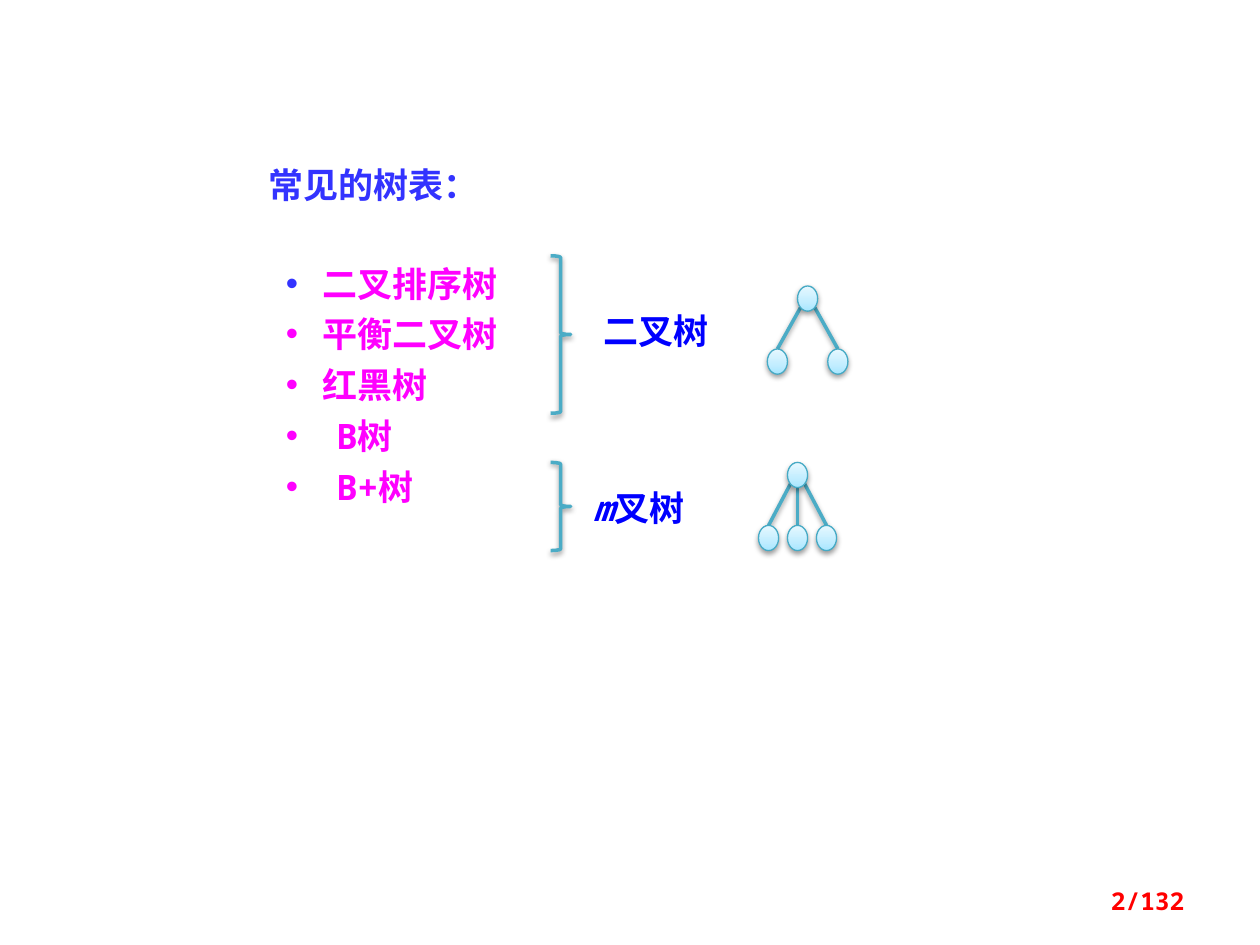
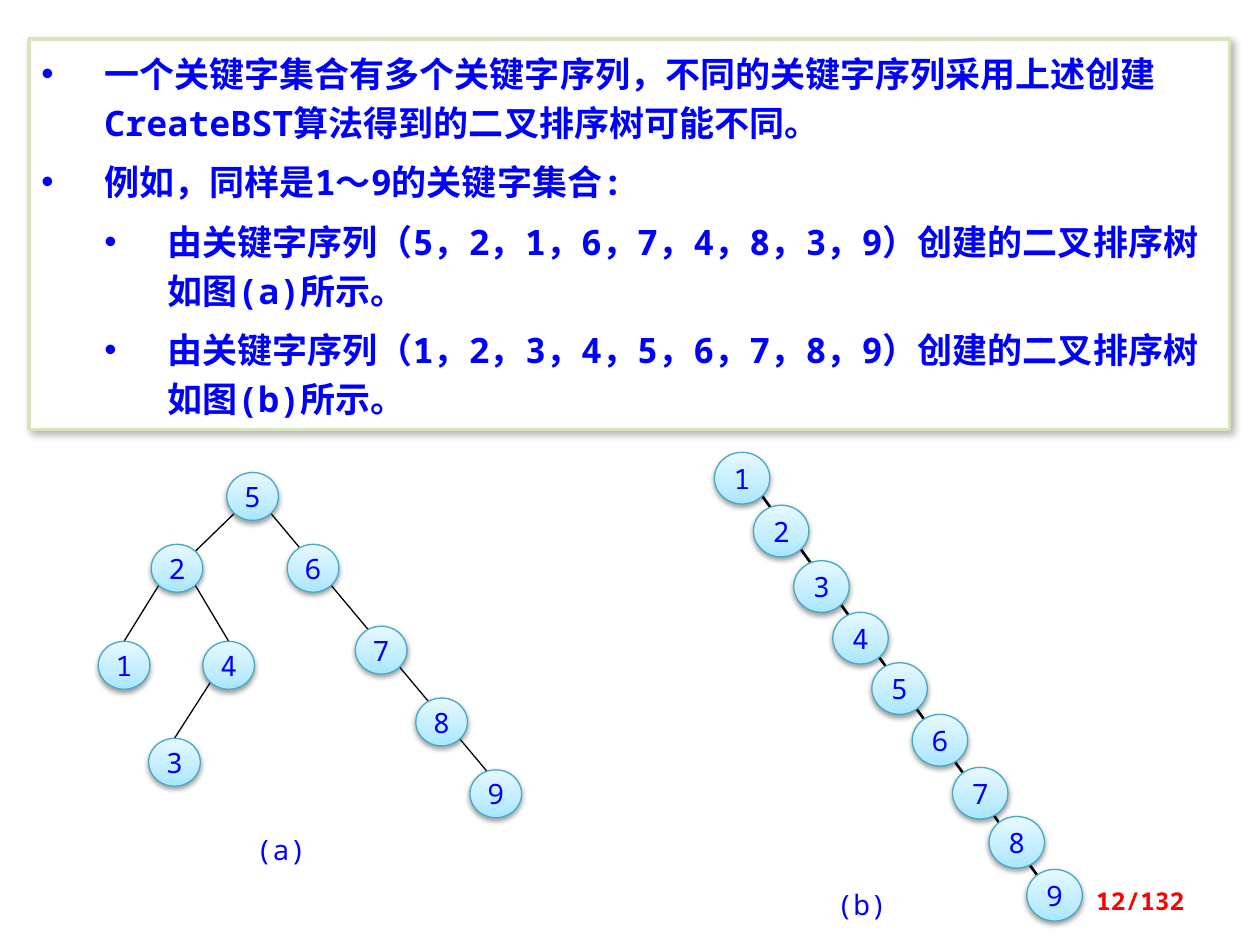
from collections import namedtuple
from lxml.etree import SubElement
from pptx import Presentation
from pptx.dml.color import RGBColor
from pptx.enum.shapes import MSO_CONNECTOR as Wire, MSO_SHAPE as Kind
from pptx.enum.text import MSO_ANCHOR as Anchor, PP_ALIGN as Align
from pptx.oxml import parse_xml
from pptx.oxml.ns import nsdecls, qn
from pptx.util import Pt

SCALE = 9144
FONT = "Noto Sans Mono"
WHITE = RGBColor(0xFF, 0xFF, 0xFF)
BLACK = RGBColor(0, 0, 0)
BLUE = RGBColor(0, 0, 0xFF)
INDIGO = RGBColor(0x33, 0x33, 0xFF)
PINK = RGBColor(0xFF, 0, 0xFF)
RED = RGBColor(0xFF, 0, 0)
TEAL = RGBColor(0x4B, 0xAC, 0xC6)
RIM = RGBColor(0x46, 0xAA, 0xC5)
GREEN = RGBColor(0xD7, 0xE4, 0xBD)
GLOW = [(0, RGBColor(0xA7, 0xE6, 0xFF)), (35, RGBColor(0xC1, 0xED, 0xFF)),
        (100, RGBColor(0xE7, 0xF8, 0xFF))]
SOFT = (38, 3.1, 1.6, 90)
DEEP = (30, 4.5, 2.6, 53)

Node = namedtuple("Node", "x y w h")


def px(*sizes):
    return [round(size * SCALE) for size in sizes]


def shade(shape, look=None):
    props = shape.element.spPr
    for old in props.findall(qn("a:effectLst")):
        props.remove(old)
    effect = SubElement(props, qn("a:effectLst"))
    if look:
        alpha, blur, dist, turn = look
        outer = SubElement(effect, qn("a:outerShdw"), blurRad=str(Pt(blur)),
                           dist=str(Pt(dist)), dir=str(turn * 60000), rotWithShape="0")
        color = SubElement(outer, qn("a:srgbClr"), val=str(BLACK))
        SubElement(color, qn("a:alpha"), val=str(alpha * 1000))


def write(shape, rows, size=20, color=BLUE, bold=True, align=Align.LEFT,
          anchor=Anchor.TOP, inset=(10, 5, 10, 5), lead=None, gap=0,
          dents=None, dot=None, lean=""):
    frame = shape.text_frame
    frame.word_wrap = True
    frame.vertical_anchor = anchor
    (frame.margin_left, frame.margin_top,
     frame.margin_right, frame.margin_bottom) = px(*inset)
    rows = [rows] if isinstance(rows, str) else rows
    for i, row in enumerate(rows):
        para = frame.paragraphs[0] if i == 0 else frame.add_paragraph()
        para.alignment = align
        para.line_spacing = lead
        para.space_before = Pt(gap if i else 0)
        if dents:
            left, hang = px(*dents[i])
            props = para._p.get_or_add_pPr()
            props.set("marL", str(left))
            props.set("indent", str(-hang))
            if dot and i == 0:
                tint = SubElement(props, qn("a:buClr"))
                SubElement(tint, qn("a:srgbClr"), val=str(dot))
            SubElement(props, qn("a:buFont"), typeface="Arial")
            SubElement(props, qn("a:buChar"), char="•")
        for part in filter(None, (lean, row)):
            run = para.add_run()
            run.text = part
            font = run.font
            font.name, font.size, font.bold = FONT, Pt(size), bold
            font.italic = part == lean
            font.color.rgb = color
            SubElement(run._r.get_or_add_rPr(), qn("a:ea"), typeface=FONT)


def label(shapes, box, text, **fmt):
    write(shapes.add_textbox(*px(*box)), text, **fmt)


def block(shapes, kind, box, fill=None, line=None, width=2, look=None):
    shape = shapes.add_shape(kind, *px(*box))
    if fill:
        shape.fill.solid()
        shape.fill.fore_color.rgb = fill
    else:
        shape.fill.background()
    if line:
        shape.line.color.rgb = line
        shape.line.width = Pt(width)
    else:
        shape.line.fill.background()
    shade(shape, look)
    return shape


def wire(shapes, start, end, color=BLACK, width=0.75, look=None):
    link = shapes.add_connector(Wire.STRAIGHT, *px(*start, *end))
    link.line.color.rgb = color
    link.line.width = Pt(width)
    shade(link, look)


def rim(node, across, down):
    reach = 0.35 if across else 0.5
    return (node.x + node.w * (0.5 + reach * across),
            node.y + node.h * (0.5 + reach * down))


def edge(shapes, top, kid, corner=False, **fmt):
    side = (kid.x > top.x) - (kid.x < top.x)
    wire(shapes, rim(top, side, 1), rim(kid, -side if corner else 0, -1), **fmt)


def ball(shapes, node, text=""):
    shape = block(shapes, Kind.OVAL, node, WHITE, RIM, 0.75, SOFT)
    stops = "".join(f'<a:gs pos="{at * 1000}"><a:srgbClr val="{tone}"/></a:gs>'
                    for at, tone in GLOW)
    grad = parse_xml(f'<a:gradFill {nsdecls("a")} rotWithShape="1"><a:gsLst>{stops}'
                     '</a:gsLst><a:lin ang="16200000" scaled="0"/></a:gradFill>')
    props = shape.element.spPr
    props.replace(props.find(qn("a:solidFill")), grad)
    if text:
        write(shape, text, size=16, bold=False, align=Align.CENTER,
              anchor=Anchor.MIDDLE, inset=(0, 0, 0, 0))


def caption(shapes, box, text):
    label(shapes, box, text, size=16, bold=False, align=Align.CENTER, inset=(0, 0, 0, 0))


def footer(slide, page):
    label(slide.shapes, (717, 695, 233, 40), f"{page}/132", size=14, color=RED,
          align=Align.RIGHT, anchor=Anchor.MIDDLE)


def family(shapes, x, y, height, name, root, spread, lean=""):
    shapes = shapes.add_group_shape().shapes
    block(shapes, Kind.RIGHT_BRACE, (x, y, 16, height), line=TEAL, look=SOFT)
    label(shapes, (x + name[0], y + name[1], 117, 44), name[2], lean=lean)
    top = Node(x + root[0], y + root[1], 16, 20)
    kids = [Node(top.x + step, top.y + 50, 16, 20) for step in spread]
    for kid in kids:
        edge(shapes, top, kid, color=TEAL, width=2, look=SOFT)
    for node in [top, *kids]:
        ball(shapes, node)


def kinds(slide):
    shapes = slide.shapes
    label(shapes, (203, 125, 307, 44), "常见的树表：", color=INDIGO)
    panel = block(shapes, Kind.RECTANGLE, (211, 196, 211, 259), WHITE)
    write(panel, ["二叉排序树", "平衡二叉树", "红黑树", "B树", "B+树"], color=PINK,
          inset=(16, 12, 10, 12), gap=5, dot=INDIGO,
          dents=[(29, 29)] * 3 + [(40, 40)] * 2)
    family(shapes, 437, 203, 125, (32, 38, "二叉树"), (196, 24), (-24, 24))
    family(shapes, 437, 367, 70, (24, 14, "叉树"), (188, 0), (-23, 0, 23), lean="m")
    footer(slide, 2)


def branch(shapes, x, y):
    shapes = shapes.add_group_shape().shapes
    spots = {"5": (102, 0), "2": (42, 57), "6": (150, 57), "1": (0, 134), "4": (83, 134),
             "3": (40, 211), "7": (204, 122), "8": (252, 179), "9": (295, 236)}
    nodes = {key: Node(x + dx, y + dy, 41, 38) for key, (dx, dy) in spots.items()}
    wire(shapes, rim(nodes["5"], 1, 1), (x + 310, y + 239))
    for top, kid in ("52", "21", "24", "43"):
        edge(shapes, nodes[top], nodes[kid], corner=top == "5")
    for key, node in nodes.items():
        ball(shapes, node, key)
    caption(shapes, (x + 113, y + 286, 64, 29), "(a)")


def chain(shapes, x, y):
    shapes = shapes.add_group_shape().shapes
    wire(shapes, (x + 28, y + 21), (x + 268, y + 352), width=1.5)
    across = (0, 31, 63, 94, 125, 157, 189, 218, 248)
    down = (0, 42, 86, 127, 167, 208, 250, 289, 331)
    for key, (dx, dy) in enumerate(zip(across, down), 1):
        ball(shapes, Node(x + dx, y + dy, 44, 41), str(key))
    caption(shapes, (x + 81, y + 345, 72, 31), "(b)")


def orders(slide):
    shapes = slide.shapes
    panel = block(shapes, Kind.RECTANGLE, (23, 31, 953, 310), WHITE, GREEN, 2, DEEP)
    write(panel, [
        "一个关键字集合有多个关键字序列，不同的关键字序列采用上述创建CreateBST算法得到的二叉排序树可能不同。",
        "例如，同样是1～9的关键字集合:",
        "由关键字序列（5，2，1，6，7，4，8，3，9）创建的二叉排序树如图(a)所示。",
        "由关键字序列（1，2，3，4，5，6，7，8，9）创建的二叉排序树如图(b)所示。",
    ], lead=Pt(28), gap=6, dents=[(50, 50)] * 2 + [(100, 50)] * 2)
    chain(shapes, 567, 359)
    branch(shapes, 78, 375)
    footer(slide, 12)


def main():
    deck = Presentation()
    deck.slide_width, deck.slide_height = px(1000, 750)
    for build in (kinds, orders):
        build(deck.slides.add_slide(deck.slide_layouts[6]))
    deck.save("out.pptx")


if __name__ == "__main__":
    main()
